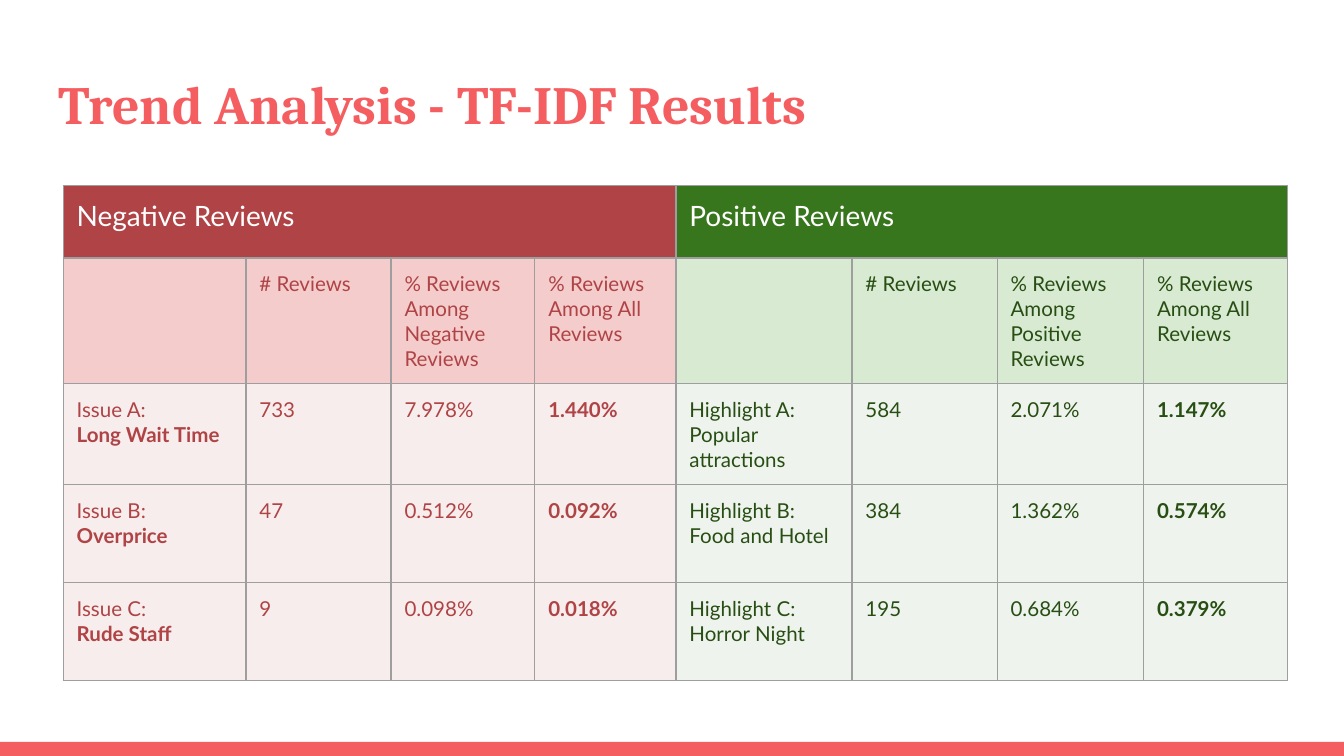
"""Build a slide with a table of TF-IDF results for negative and positive reviews."""
from lxml import etree
from pptx import Presentation
from pptx import util as u
from pptx.dml.color import RGBColor
from pptx.enum import shapes, text
from pptx.oxml import ns

CORAL = "F55E61"
MARGINS = dict.fromkeys(
    ("margin_left", "margin_right", "margin_top", "margin_bottom"), u.Inches(0.1))


def color(value):
    return RGBColor.from_string(value)


def style(target, formats):
    for name, value in formats.items():
        setattr(target, name, value)


deck = Presentation()
style(deck, {"slide_width": u.Inches(10), "slide_height": u.Inches(10 * 9 / 16)})
slide = deck.slides.add_slide(deck.slide_layouts[6])

footer = slide.shapes.add_shape(
    shapes.MSO_SHAPE.RECTANGLE, u.Inches(0), u.Inches(5.52), u.Inches(10), u.Inches(0.11))
footer.shadow.inherit = False
footer.fill.solid()
footer.fill.fore_color.rgb = color(CORAL)
footer.line.fill.background()

title = slide.shapes.add_textbox(
    u.Inches(0.34), u.Inches(0.43), u.Inches(9.32), u.Inches(0.68)).text_frame
style(title, {**MARGINS, "word_wrap": True, "vertical_anchor": text.MSO_ANCHOR.TOP})
heading = title.paragraphs[0].add_run()
heading.text = "Trend Analysis - TF-IDF Results"
style(heading.font, {"name": "Cambria", "size": u.Pt(28.8), "bold": True})
heading.font.color.rgb = color(CORAL)

halves = [
    {"name": "Negative", "ink": "AF4345", "fills": ["AF4345", "F4CCCC", "F7EDED"],
     "bold_topic": True,
     "rows": [["Issue A:\nLong Wait Time", "733", "7.978%", "1.440%"],
              ["Issue B:\nOverprice", "47", "0.512%", "0.092%"],
              ["Issue C:\nRude Staff", "9", "0.098%", "0.018%"]]},
    {"name": "Positive", "ink": "274E13", "fills": ["38761D", "D9EAD3", "EFF3ED"],
     "bold_topic": False,
     "rows": [["Highlight A:\nPopular\nattractions", "584", "2.071%", "1.147%"],
              ["Highlight B:\nFood and Hotel", "384", "1.362%", "0.574%"],
              ["Highlight C:\nHorror Night", "195", "0.684%", "0.379%"]]},
]
widths = [1.36, 1.08, 1.07, 1.05, 1.31, 1.08, 1.09, 1.07]
heights = [0.54, 0.87, 0.73, 0.73, 0.73]
results = slide.shapes.add_table(
    len(heights), len(widths), u.Inches(0.47), u.Inches(1.38),
    u.Inches(sum(widths)), u.Inches(sum(heights))).table
style(results, {"first_row": False, "horz_banding": False})
for column, width in zip(results.columns, widths):
    column.width = u.Inches(width)
for row, height in zip(results.rows, heights):
    row.height = u.Inches(height)

for half_index, half in enumerate(halves):
    first = half_index * 4
    results.cell(0, first).merge(results.cell(0, first + 3))
    lines = [
        [f"{half['name']} Reviews", "", "", ""],
        ["", "# Reviews", f"% Reviews Among {half['name']} Reviews",
         "% Reviews Among All Reviews"],
        *half["rows"],
    ]
    for r, line in enumerate(lines):
        for c, wording in enumerate(line):
            cell = results.cell(r, first + c)
            style(cell, {**MARGINS, "vertical_anchor": text.MSO_ANCHOR.TOP})
            properties = cell._tc.get_or_add_tcPr()
            for side in ("lnL", "lnR", "lnT", "lnB"):
                border = etree.SubElement(properties, ns.qn(f"a:{side}"), w=str(u.Pt(0.75)))
                paint = etree.SubElement(border, ns.qn("a:solidFill"))
                etree.SubElement(paint, ns.qn("a:srgbClr"), val="9E9E9E")
            cell.fill.solid()
            cell.fill.fore_color.rgb = color(half["fills"][min(r, 2)])
            if not wording:
                continue
            cell.text = wording
            for p, paragraph in enumerate(cell.text_frame.paragraphs):
                font = paragraph.runs[0].font
                bold = r > 1 and (c == 3 or (p > 0 and half["bold_topic"]))
                style(font, {"name": "Lato", "size": u.Pt(11 if r else 15), "bold": bold})
                font.color.rgb = color(half["ink"] if r else "FFFFFF")

deck.save("out.pptx")
